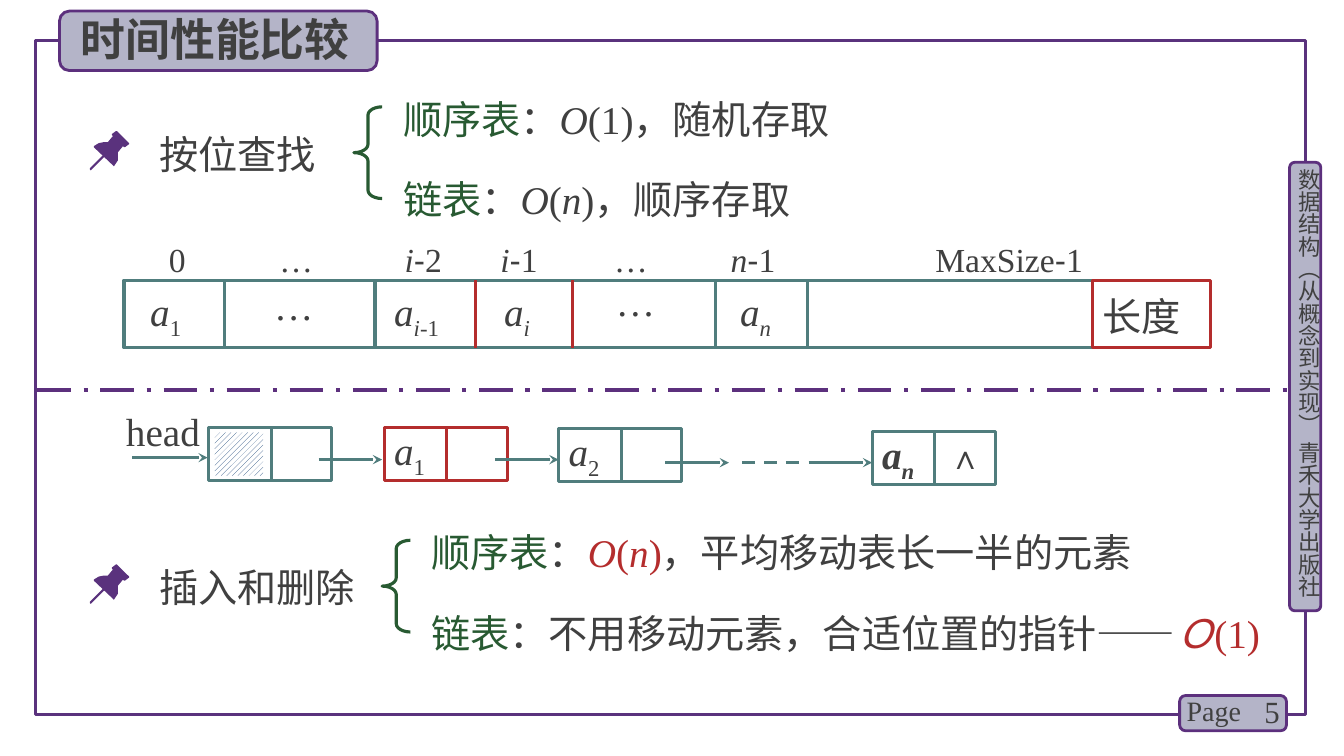
from lxml import etree
from pptx import Presentation
from pptx.dml.color import RGBColor
from pptx.enum.dml import MSO_LINE, MSO_PATTERN
from pptx.enum.shapes import MSO_CONNECTOR, MSO_SHAPE
from pptx.enum.text import MSO_ANCHOR, MSO_AUTO_SIZE, PP_ALIGN
from pptx.oxml.ns import qn
from pptx.util import Inches, Pt

RECTANGLE, ROUNDED = MSO_SHAPE.RECTANGLE, MSO_SHAPE.ROUNDED_RECTANGLE
BRACE = MSO_SHAPE.LEFT_BRACE
STRAIGHT = MSO_CONNECTOR.STRAIGHT
DASH, LONG_DASH_DOT = MSO_LINE.DASH, MSO_LINE.LONG_DASH_DOT
UPWARD_HATCH = MSO_PATTERN.WIDE_UPWARD_DIAGONAL
TOP, MIDDLE = MSO_ANCHOR.TOP, MSO_ANCHOR.MIDDLE
LEFT, RIGHT = PP_ALIGN.LEFT, PP_ALIGN.RIGHT
GROW, FIXED = MSO_AUTO_SIZE.SHAPE_TO_FIT_TEXT, MSO_AUTO_SIZE.NONE

PURPLE = RGBColor(0x5A, 0x32, 0x7D)
VIOLET = RGBColor(0x5C, 0x30, 0x7D)
LILAC = RGBColor(0xB4, 0xB4, 0xC8)
DARK = RGBColor(0x40, 0x40, 0x40)
TEAL = RGBColor(0x50, 0x7D, 0x7D)
RED = RGBColor(0xB4, 0x2D, 0x2D)
GREEN = RGBColor(0x28, 0x5A, 0x32)
NAVY = RGBColor(0x1F, 0x49, 0x7D)
WHITE = RGBColor(0xFF, 0xFF, 0xFF)

SERIF, SANS, CJK = "Times New Roman", "Arial", "Noto Sans CJK SC"
TEXT_INSETS = (0.1, 0.05, 0.1, 0.05)
CELL_INSETS = (0, 0.05, 0, 0.05)
NODE_INSETS = (0.1, 0, 0, 0.08)
NODE_WIDTH, NODE_HEIGHT = 1.22, 0.53

PIN_HEAD = [(0.39, 0.13), (0.27, 0.01), (0.26, 0.01), (0.22, 0.04), (0.22, 0.05),
            (0.23, 0.06), (0.18, 0.12), (0.14, 0.12), (0.09, 0.13), (0.04, 0.16),
            (0.04, 0.17), (0.23, 0.35), (0.24, 0.36), (0.28, 0.3), (0.28, 0.22),
            (0.33, 0.16), (0.34, 0.17), (0.35, 0.17), (0.39, 0.14)]
PIN_NEEDLE = [(0.01, 0.4), (0, 0.39), (0, 0.38), (0.13, 0.25), (0.15, 0.25),
              (0.15, 0.26), (0.02, 0.39)]


class SlideBuilder:
    def __init__(self, slide):
        self.slide = slide
        self.shapes = slide.shapes

    def set_runs(self, shape, runs, size=28, insets=TEXT_INSETS, align=LEFT, anchor=TOP,
                 line_spacing=None, space_before=False, auto_size=FIXED, tabs=()):
        """Fill a shape with runs given as (text, flags, colour).

        Flags: b bold, i italic, s subscript, a Arial.
        """
        frame = shape.text_frame
        frame.word_wrap, frame.auto_size, frame.vertical_anchor = True, auto_size, anchor
        (frame.margin_left, frame.margin_top,
         frame.margin_right, frame.margin_bottom) = map(Inches, insets)
        paragraph = frame.paragraphs[0]
        paragraph.alignment = align
        if line_spacing:
            paragraph.line_spacing = line_spacing
        properties = paragraph._p.get_or_add_pPr()
        if space_before:
            before = etree.SubElement(properties, qn("a:spcBef"))
            etree.SubElement(before, qn("a:spcPct"), val="50000")
        if tabs:
            stops = etree.SubElement(properties, qn("a:tabLst"))
            for position in tabs:
                etree.SubElement(stops, qn("a:tab"), pos=str(Inches(position)), algn="ctr")
        for text, flags, color in runs:
            run = paragraph.add_run()
            run.text = text
            font = run.font
            font.name = SANS if "a" in flags else SERIF
            font.size = Pt(size)
            font.bold, font.italic = "b" in flags, "i" in flags
            font.color.rgb = color
            run_properties = run._r.get_or_add_rPr()
            etree.SubElement(run_properties, qn("a:ea"), typeface=CJK)
            if "s" in flags:
                run_properties.set("baseline", "-25000")

    def text(self, x, y, width, height, runs, **style):
        box = self.shapes.add_textbox(*map(Inches, (x, y, width, height)))
        self.set_runs(box, runs, **style)
        return box

    def title(self, x, y, width, height, text):
        title = self.shapes.title
        title.left, title.top, title.width, title.height = map(Inches, (x, y, width, height))
        self.set_runs(title, [(text, "b", DARK)], size=32)
        self.shapes._spTree.append(title._element)

    def shape(self, kind, x, y, width, height, line=None, fill=None, weight=2.25):
        shape = self.shapes.add_shape(kind, *map(Inches, (x, y, width, height)))
        self.finish(shape, fill, line, weight)
        return shape

    def finish(self, shape, fill=None, line=None, weight=2.25):
        shape.shadow.inherit = False
        if fill:
            shape.fill.solid()
            shape.fill.fore_color.rgb = fill
        else:
            shape.fill.background()
        if line:
            shape.line.color.rgb = line
            shape.line.width = Pt(weight)
        else:
            shape.line.fill.background()

    def panel(self, x, y, width, height):
        self.shape(ROUNDED, x, y, width, height, line=VIOLET, fill=LILAC, weight=2)

    def line(self, x1, y1, x2, y2, color=TEAL, weight=2.25, dash=None, arrow=False):
        connector = self.shapes.add_connector(STRAIGHT, *map(Inches, (x1, y1, x2, y2)))
        connector.line.color.rgb = color
        connector.line.width = Pt(weight)
        if dash:
            connector.line.dash_style = dash
        properties = connector._element.spPr
        if arrow:
            etree.SubElement(properties.find(qn("a:ln")), qn("a:tailEnd"), type="stealth")
        etree.SubElement(properties, qn("a:effectLst"))

    def pin(self, x, y):
        for outline in (PIN_HEAD, PIN_NEEDLE):
            points = [(Inches(x + dx), Inches(y + dy)) for dx, dy in outline]
            builder = self.shapes.build_freeform(*points[0])
            builder.add_line_segments(points[1:], close=True)
            self.finish(builder.convert_to_shape(), fill=PURPLE)

    def comparison(self, y, topic, brace_x, sequential, linked):
        """Draw a pinned topic with a brace over its two list kinds."""
        style = dict(line_spacing=1.2, space_before=True, auto_size=GROW)
        self.pin(0.89, y + 0.49)
        self.text(1.48, y + 0.35, 2.33, 0.67, [(topic, "", DARK)], **style)
        brace = self.shape(BRACE, brace_x, y + 0.26, 0.28, 0.91, line=GREEN)
        brace.adjustments[0] = 0.293
        for offset, name, result in ((0, "顺序表", sequential), (0.8, "链表", linked)):
            runs = [(name, "", GREEN), ("：", "", DARK)] + result
            self.text(brace_x + 0.39, y + offset, 8.63, 0.67, runs, **style)

    def node(self, x, y, color, runs=()):
        box = self.shape(RECTANGLE, x, y, NODE_WIDTH, NODE_HEIGHT, line=color)
        if runs:
            self.set_runs(box, runs, insets=NODE_INSETS, line_spacing=0.9)
        self.line(x + 0.62, y, x + 0.62, y + 0.51, color)


def draw_frame(builder):
    builder.shape(RECTANGLE, 0.35, 0.4, 12.6, 6.69, line=PURPLE)
    builder.panel(12.79, 1.61, 0.31, 4.45)
    side = builder.text(12.85, 1.67, 0.27, 4.49,
                        [("数据结构（从概念到实现） 青禾大学出版社", "", DARK)],
                        size=16, insets=(0, 0, 0, 0), auto_size=GROW)
    side.text_frame._txBody.bodyPr.set("vert", "eaVert")
    builder.panel(11.7, 6.9, 1.06, 0.35)
    builder.text(12.2, 6.86, 0.59, 0.4, [("5", "", DARK)], size=22, align=RIGHT, anchor=MIDDLE)
    builder.text(11.67, 6.83, 0.78, 0.44, [("Page", "", DARK)], size=20, auto_size=GROW)
    builder.panel(0.59, 0.11, 3.15, 0.59)
    builder.title(0.7, 0.07, 3.15, 0.64, "时间性能比较")


def draw_sequential_list(builder):
    labels = [("\t0\t…\t", ""), ("i", "i"), ("-", "a"), ("2\t", ""), ("i", "i"), ("-", "a"),
              ("1\t…\t", ""), ("n", "i"), ("-", "a"), ("1\tMaxSize", ""), ("-", "a"), ("1", "")]
    builder.text(1.29, 2.32, 10.96, 0.52, [(text, flags, DARK) for text, flags in labels],
                 size=24, space_before=True, auto_size=GROW,
                 tabs=(0.37, 1.55, 2.81, 3.76, 4.87, 6.08, 8.62))
    top, height = 2.78, 0.67
    builder.shape(RECTANGLE, 1.23, top, 9.61, height, line=TEAL)
    for x, color in ((2.23, TEAL), (3.72, TEAL), (4.72, RED),
                     (5.68, RED), (7.1, TEAL), (8.01, TEAL)):
        builder.line(x, top, x, top + height, color)
    for x, y, name, index in ((1.49, 2.8, "a", [("1", "s")]),
                              (2.72, 2.74, "…", []),
                              (3.91, 2.8, "a", [("i", "is"), ("-1", "s")]),
                              (5, 2.8, "a", [("i", "is")]),
                              (6.11, 2.7, "…", []),
                              (7.34, 2.8, "a", [("n", "is")])):
        runs = [(name, "i" if index else "")] + index
        builder.text(x, y, 0.73, 0.57, [(text, flags, DARK) for text, flags in runs],
                     insets=CELL_INSETS, space_before=True, auto_size=GROW)
    length = builder.shape(RECTANGLE, 10.84, top, 1.17, height, line=RED)
    builder.set_runs(length, [("长度", "", DARK)], insets=(0.1, 0.12, 0, 0.05),
                     space_before=True)


def draw_linked_list(builder):
    builder.text(1.25, 4.04, 0.83, 0.51, [("head", "", DARK)], insets=(0, 0, 0, 0.04))
    builder.node(2.07, 4.24, TEAL)
    hatch = builder.shape(RECTANGLE, 2.13, 4.29, 0.48, 0.43)
    hatch.fill.patterned()
    hatch.fill.pattern = UPWARD_HATCH
    hatch.fill.fore_color.rgb, hatch.fill.back_color.rgb = NAVY, WHITE
    builder.node(3.81, 4.24, RED, [("a", "i", DARK), ("1", "s", DARK)])
    builder.node(5.54, 4.25, TEAL, [("a", "i", DARK), ("2", "s", DARK)])
    builder.node(8.65, 4.28, TEAL, [("a", "bi", DARK), ("n", "bis", DARK)])
    builder.text(9.31, 4.28, 0.57, 0.49, [("∧", "b", DARK)], size=24)
    for start, end, y in ((1.31, 2.06, 4.54), (3.16, 3.79, 4.56), (4.91, 5.54, 4.56),
                          (6.6, 7.23, 4.59), (8.02, 8.65, 4.59)):
        builder.line(start, y, end, y, arrow=True)
    builder.line(7.36, 4.59, 7.98, 4.59, dash=DASH)


def main():
    presentation = Presentation()
    presentation.slide_width, presentation.slide_height = Inches(13.33), Inches(7.5)
    builder = SlideBuilder(presentation.slides.add_slide(presentation.slide_layouts[5]))
    draw_frame(builder)
    builder.comparison(0.8, "按位查找", 3.51,
                       [("O", "i", DARK), ("(1)，随机存取", "", DARK)],
                       [("O", "i", DARK), ("(", "", DARK), ("n", "i", DARK),
                        (")，顺序存取", "", DARK)])
    draw_sequential_list(builder)
    builder.line(0.37, 3.87, 12.82, 3.87, VIOLET, weight=3, dash=LONG_DASH_DOT)
    draw_linked_list(builder)
    builder.comparison(5.1, "插入和删除", 3.79,
                       [("O", "i", RED), ("(", "", RED), ("n", "i", RED), (")", "", RED),
                        ("，平均移动表长一半的元素", "", DARK)],
                       [("不用移动元素，合适位置的指针——", "", DARK),
                        ("Ｏ", "i", RED), ("(1)", "", RED)])
    presentation.save("out.pptx")


if __name__ == "__main__":
    main()
